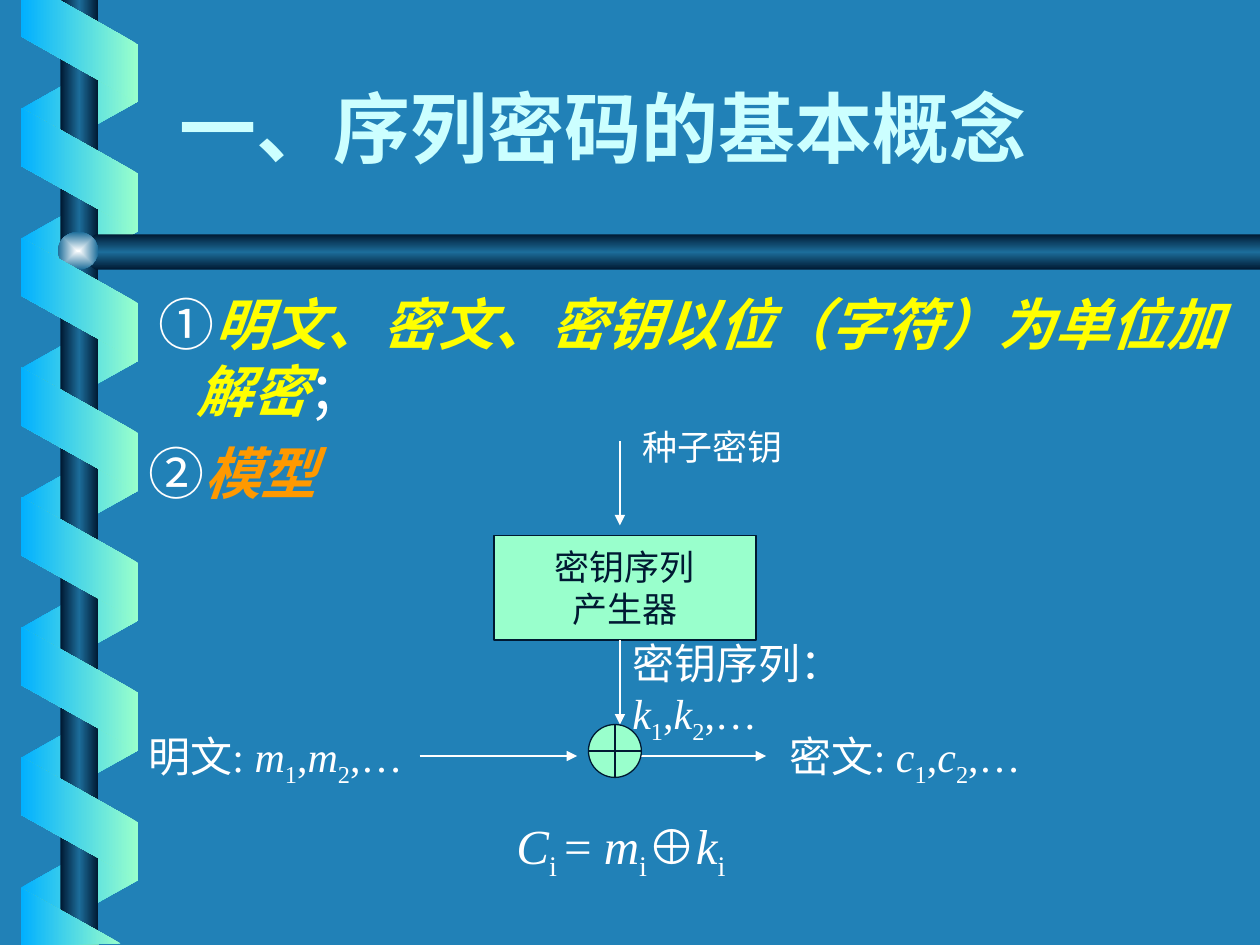
import pptx
import pptx.dml.color
import pptx.enum.shapes
import pptx.enum.text
import pptx.oxml
import pptx.oxml.ns
import pptx.util

Inches = pptx.util.Inches
Pt = pptx.util.Pt
qn = pptx.oxml.ns.qn
SHAPE = pptx.enum.shapes.MSO_SHAPE
ALIGN = pptx.enum.text.PP_ALIGN
ANCHOR = pptx.enum.text.MSO_ANCHOR

COLORS = {
    "background": "2181B7", "blue": "01B0FF", "mint": "99FFCC",
    "navy": "001932", "steel": "1C6D9A", "shine": "FEFFFF",
    "title": "CCFFFF", "white": "FFFFFF", "yellow": "FFFF00", "orange": "FF9900",
}
HEADING_FONT = "Roboto Condensed"
LABEL_FONT = "Times New Roman"

COIL = [(0, "mint"), (100, "blue")]
ROD = [(0, "navy"), (50, "steel"), (100, "navy")]


def rgb(name):
    return pptx.dml.color.RGBColor.from_string(COLORS[name])


def set_gradient(shape, stops, angle=None):
    """Linear gradient at the given angle, or one growing from the centre without it."""
    shape.shadow.inherit = False
    shape.line.fill.background()
    shape.fill.gradient()
    stop_xml = "".join(
        f'<a:gs pos="{position * 1000}"><a:srgbClr val="{COLORS[name]}"/></a:gs>'
        for position, name in stops)
    if angle is None:
        course = ('<a:path path="rect"><a:fillToRect l="50000" t="50000" '
                  'r="50000" b="50000"/></a:path>')
    else:
        course = f'<a:lin ang="{angle * 60000}" scaled="0"/>'
    gradient = pptx.oxml.parse_xml(
        f'<a:gradFill {pptx.oxml.ns.nsdecls("a")} rotWithShape="0">'
        f'<a:gsLst>{stop_xml}</a:gsLst>{course}</a:gradFill>')
    properties = shape._element.spPr
    properties.replace(properties.find(qn("a:gradFill")), gradient)


def add_preset(page, kind, box, left, top, width, height):
    return page.shapes.add_shape(kind, Inches(box[0] + left), Inches(box[1] + top),
                                 Inches(width), Inches(height))


def add_outline(page, box, points):
    corners = [(Inches(box[0] + x), Inches(box[1] + y)) for x, y in points]
    builder = page.shapes.build_freeform(*corners[0])
    builder.add_line_segments(corners[1:], close=True)
    return builder.convert_to_shape()


def add_coil(page, box, top, behind):
    coil = add_preset(page, SHAPE.PARALLELOGRAM, box, -0.03, top, 0.98, 0.93)
    coil.adjustments[0] = 0.56
    if behind:
        coil._element.spPr.find(qn("a:xfrm")).set("flipH", "1")
    coil.rotation = 90 if behind else 270
    set_gradient(coil, [(0, "blue"), (100, "mint")] if behind else COIL, 180)


def add_binding(page, box):
    """Spiral ribbon wound round an upright rod, with a crossbar."""
    pitch = 1.03
    for turn in range(7):
        add_coil(page, box, 0.37 + turn * pitch, behind=True)
    rod = add_preset(page, SHAPE.RECTANGLE, box, 0.31, 0, 0.3, box[3])
    set_gradient(rod, ROD, 180)
    crossbar = add_outline(page, box, [(9.83, 1.86), (0.59, 1.86), (0.43, 2),
                                       (0.59, 2.14), (9.83, 2.14)])
    set_gradient(crossbar, ROD, 90)
    knob = add_preset(page, SHAPE.OVAL, box, 0.29, 1.84, 0.32, 0.3)
    set_gradient(knob, [(0, "shine"), (100, "steel")])
    for turn in range(6):
        add_coil(page, box, 0.88 + turn * pitch, behind=False)
    ribbon_ends = [
        [(0, 0), (0, 0.29), (0.92, 0.81), (0.92, 0.35), (0.3, 0)],
        [(0.79, 7.49), (0, 7.05), (0, 7.5)],
    ]
    for points in ribbon_ends:
        set_gradient(add_outline(page, box, points), COIL, 180)


def add_span(para, text, size, font, color, bold=False, italic=False, subscript=False):
    span = para.add_run()
    span.text = text
    span.font.size = Pt(size)
    span.font.name = font
    span.font.color.rgb = rgb(color)
    span.font.bold = bold
    span.font.italic = italic
    if subscript:
        span.font._element.set("baseline", "-25000")


def add_text_frame(page, left, top, width, height):
    box = page.shapes.add_textbox(Inches(left), Inches(top), Inches(width), Inches(height))
    box.text_frame.word_wrap = True
    return box.text_frame


def add_title(page, box):
    frame = add_text_frame(page, *box)
    frame.vertical_anchor = ANCHOR.BOTTOM
    add_span(frame.paragraphs[0], "一、序列密码的基本概念", 44, HEADING_FONT, "title", bold=True)


def add_points(page, box):
    frame = add_text_frame(page, *box)
    points = [
        (-0.3, "①", "明文、密文、密钥以位（字符）为单位加解密", "yellow", "；"),
        (-0.38, "②", "模型", "orange", ""),
    ]
    for index, (indent, number, text, color, ending) in enumerate(points):
        para = frame.add_paragraph() if index else frame.paragraphs[0]
        if index:
            para.space_before = Pt(8)
        properties = para._p.get_or_add_pPr()
        properties.set("marL", str(Inches(0.38)))
        properties.set("indent", str(Inches(indent)))
        add_span(para, number, 32, HEADING_FONT, "white")
        add_span(para, text, 32, HEADING_FONT, color, bold=True, italic=True)
        if ending:
            add_span(para, ending, 32, HEADING_FONT, "white")


def add_label(page, box, left, top, width, height, size, spans):
    """Each span is its text and a style: plain, italic or subscript."""
    para = add_text_frame(page, box[0] + left, box[1] + top, width, height).paragraphs[0]
    for text, style in spans:
        add_span(para, text, size, LABEL_FONT, "white",
                 italic=style == "italic", subscript=style == "subscript")


def series(heading, letter):
    return [(heading, "plain"), (letter, "italic"), ("1", "subscript"), (",", "plain"),
            (letter, "italic"), ("2", "subscript"), (",…", "plain")]


def add_arrow(page, box, start, end):
    arrow = page.shapes.add_connector(
        pptx.enum.shapes.MSO_CONNECTOR.STRAIGHT,
        Inches(box[0] + start[0]), Inches(box[1] + start[1]),
        Inches(box[0] + end[0]), Inches(box[1] + end[1]))
    arrow.line.color.rgb = rgb("white")
    arrow.line.width = Pt(0.75)
    head = pptx.oxml.parse_xml(f'<a:tailEnd {pptx.oxml.ns.nsdecls("a")} type="triangle"/>')
    arrow.line._get_or_add_ln().append(head)
    arrow._element.spPr.append(
        pptx.oxml.parse_xml(f'<a:effectLst {pptx.oxml.ns.nsdecls("a")}/>'))


def add_block(page, kind, box, left, top, width, height):
    block = add_preset(page, kind, box, left, top, width, height)
    block.shadow.inherit = False
    block.fill.solid()
    block.fill.fore_color.rgb = rgb("mint")
    block.line.color.rgb = rgb("navy")
    block.line.width = Pt(0.75)
    return block


def add_cipher_model(page, box):
    generator = add_block(page, SHAPE.RECTANGLE, box, 2.84, 0.92, 2.08, 0.83)
    frame = generator.text_frame
    frame.word_wrap = False
    frame.vertical_anchor = ANCHOR.MIDDLE
    for index, text in enumerate(["密钥序列", "产生器"]):
        para = frame.add_paragraph() if index else frame.paragraphs[0]
        para.alignment = ALIGN.CENTER
        add_span(para, text, 20, LABEL_FONT, "navy")

    for start, end in [((3.84, 0.17), (3.84, 0.84)), ((3.84, 1.75), (3.84, 2.42)),
                       ((2.25, 2.67), (3.5, 2.67)), ((3.84, 2.67), (5, 2.67))]:
        add_arrow(page, box, start, end)

    add_label(page, box, 3.92, 0, 1.33, 0.44, 20, [("种子密钥", "plain")])
    add_label(page, box, 3.84, 1.68, 2.67, 0.96, 24, series("密钥序列：", "k"))
    add_label(page, box, 5.09, 2.42, 2.42, 0.56, 24, series("密文: ", "c"))
    add_label(page, box, 0, 2.42, 2.58, 0.56, 24, series("明文: ", "m"))
    add_block(page, SHAPE.FLOWCHART_OR, box, 3.59, 2.42, 0.42, 0.42)
    add_label(page, box, 2.92, 3.09, 2.25, 0.63, 28, [
        ("C", "italic"), ("i ", "subscript"), ("= ", "plain"), ("m", "italic"),
        ("i", "subscript"), ("⊕", "plain"), ("k", "italic"), ("i", "subscript")])


def main():
    deck = pptx.Presentation()
    deck.slide_width = Inches(10)
    deck.slide_height = Inches(7.5)
    page = deck.slides.add_slide(deck.slide_layouts[6])
    page.background.fill.solid()
    page.background.fill.fore_color.rgb = rgb("background")
    add_binding(page, (0.17, 0, 0.92, 7.5))
    add_title(page, (1.33, 0.42, 8.25, 1))
    add_points(page, (1.08, 2.25, 8.92, 4.67))
    add_cipher_model(page, (1.08, 3.33, 7.51, 3.72))
    deck.save("out.pptx")


if __name__ == "__main__":
    main()
